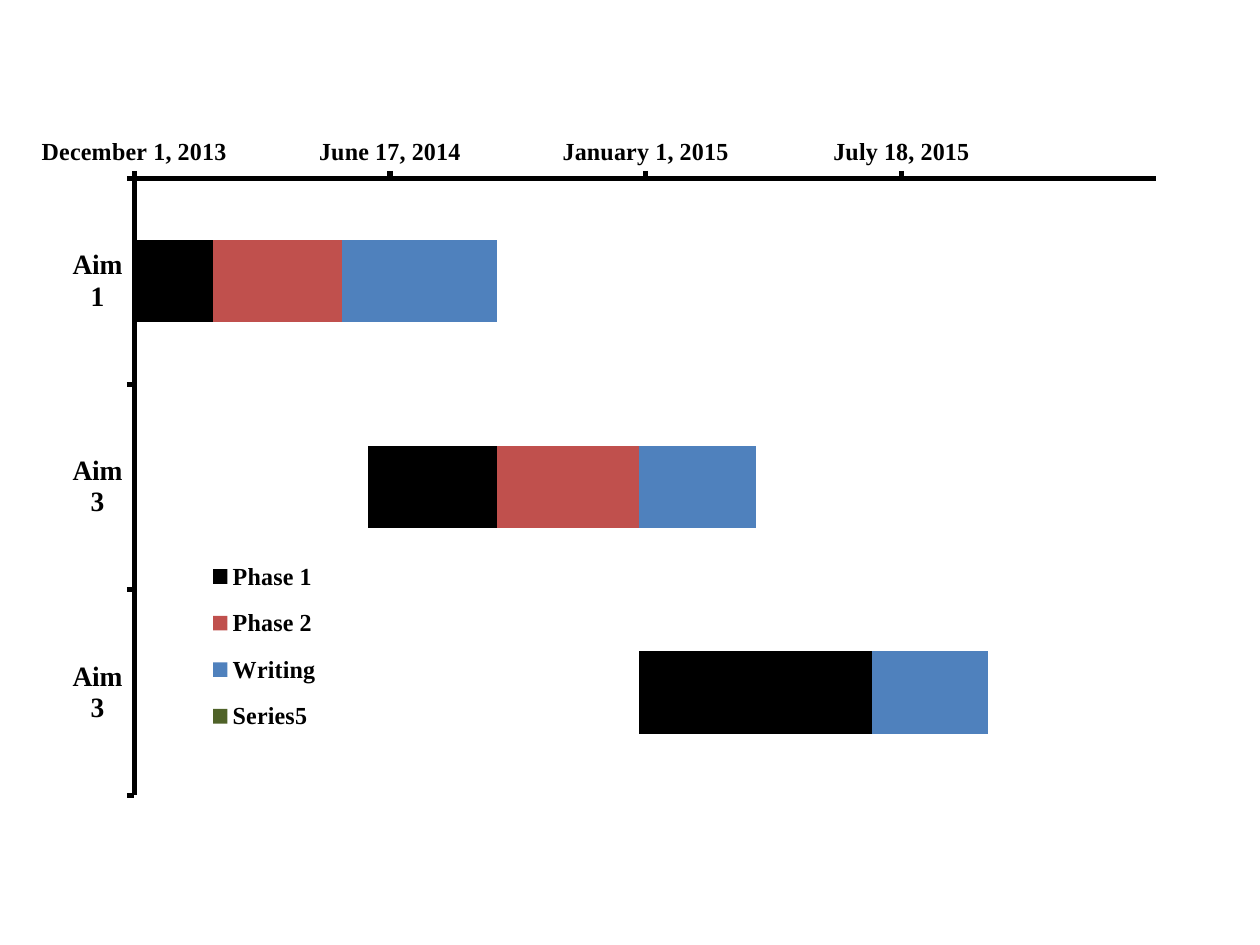
"""Build a slide with a project timeline drawn as a stacked bar chart."""
from lxml import etree
from pptx import Presentation
from pptx.chart.data import CategoryChartData
from pptx.dml.color import RGBColor
from pptx.enum import chart as ch
from pptx.oxml import ns
from pptx.util import Inches, Pt

BLACK = RGBColor(0x00, 0x00, 0x00)
RED = RGBColor(0xC0, 0x50, 0x4D)
BLUE = RGBColor(0x4F, 0x81, 0xBD)
GREEN = RGBColor(0x4F, 0x62, 0x28)

AIMS = ["Aim 1", "Aim 3", "Aim 3"]
SERIES = [
    ("", [41610, 41790, 42000], None),
    ("Phase 1", [60, 100, 180], BLACK),
    ("Phase 2", [100, 110, None], RED),
    ("Writing", [120, 90, 90], BLUE),
    ("Series5", [None, None, None], GREEN),
]


def format_text(text, size=14, bold=True, name="Times New Roman", color=BLACK):
    """Format the text of a chart part."""
    f = text.font
    f.size, f.bold, f.name = Pt(size), bold, name
    f.color.rgb = color


def format_axis(axis, size):
    """Give an axis a heavy black line, outer ticks and bold labels."""
    axis.has_major_gridlines = False
    axis.major_tick_mark = ch.XL_TICK_MARK.OUTSIDE
    axis.minor_tick_mark = ch.XL_TICK_MARK.NONE
    axis.format.line.color.rgb = BLACK
    axis.format.line.width = Pt(3)
    format_text(axis.tick_labels, size=size)


def make_layout(x, y, w, h, inner=False):
    """Return a manual layout given as fractions of the chart."""
    layout = etree.Element(ns.qn("c:layout"))
    manual = etree.SubElement(layout, ns.qn("c:manualLayout"))
    values = [("layoutTarget", "inner")] if inner else []
    values += [("xMode", "edge"), ("yMode", "edge"),
               ("x", x), ("y", y), ("w", w), ("h", h)]
    for tag, value in values:
        etree.SubElement(manual, ns.qn("c:" + tag)).set("val", str(value))
    return layout


def drop_layout(parent):
    """Remove the automatic layout of a chart part."""
    for old in parent.findall(ns.qn("c:layout")):
        parent.remove(old)


def add_legend(chart, hidden):
    """Add a legend inside the plot with one entry hidden."""
    chart.has_legend = True
    legend = chart.legend
    legend.position = ch.XL_LEGEND_POSITION.RIGHT
    legend.include_in_layout = False
    format_text(legend)
    el = legend._element
    drop_layout(el)
    entry = etree.Element(ns.qn("c:legendEntry"))
    etree.SubElement(entry, ns.qn("c:idx")).set("val", str(hidden))
    etree.SubElement(entry, ns.qn("c:delete")).set("val", "1")
    pos = el.find(ns.qn("c:legendPos"))
    if pos is None:
        pos = etree.Element(ns.qn("c:legendPos"))
        pos.set("val", "r")
        el.insert(0, pos)
    pos.addnext(entry)
    entry.addnext(make_layout(0.108, 0.602, 0.13, 0.29))


def add_timeline(slide):
    """Add the stacked bar chart of phases by date."""
    data = CategoryChartData()
    data.categories = AIMS
    for name, days, _ in SERIES:
        data.add_series(name, days)
    chart = slide.shapes.add_chart(
        ch.XL_CHART_TYPE.BAR_STACKED, Inches(0.33), Inches(0.94),
        Inches(9.33), Inches(5.61), data).chart
    chart.has_title = False
    format_text(chart, size=10, bold=False, name="Calibri")

    plot = chart.plots[0]
    plot.gap_width, plot.overlap, plot.vary_by_categories = 150, 100, False
    for series, (_, _, color) in zip(plot.series, SERIES):
        fill = series.format.fill
        if color is None:
            fill.background()
        else:
            fill.solid()
            fill.fore_color.rgb = color

    format_axis(chart.category_axis, 16)
    chart.category_axis.reverse_order = True
    dates = chart.value_axis
    format_axis(dates, 14)
    dates.minimum_scale, dates.maximum_scale = 41609, 42400
    dates.major_unit = 198
    dates.tick_labels.number_format = r"[$-1009]mmmm\ d\,\ yyyy;@"
    dates.tick_labels.number_format_is_linked = False

    area = chart._chartSpace.chart.plotArea
    drop_layout(area)
    area.insert(0, make_layout(0.06, 0.085, 0.887, 0.873, inner=True))
    add_legend(chart, hidden=4)


def main():
    """Build and save the slide."""
    prs = Presentation()
    prs.slide_width, prs.slide_height = Inches(10), Inches(7.5)
    add_timeline(prs.slides.add_slide(prs.slide_layouts[6]))
    prs.save("out.pptx")


main()
